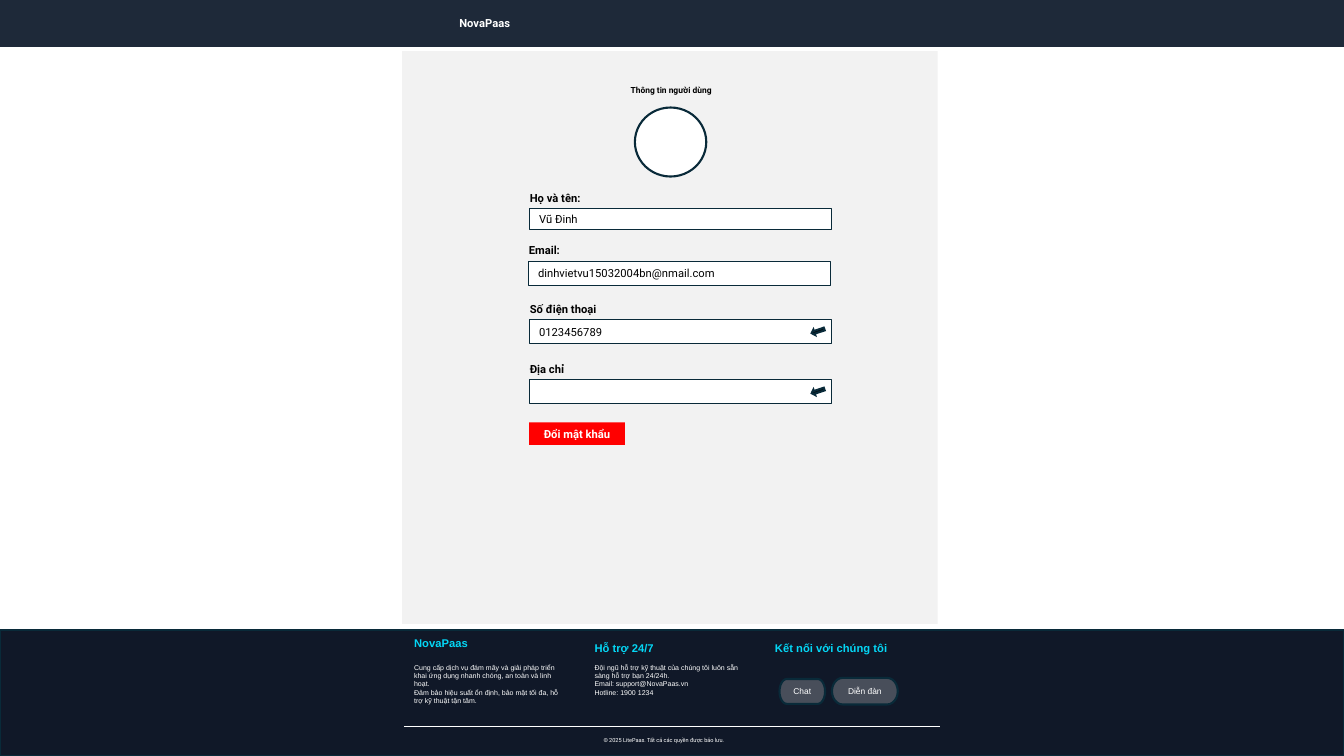
from dataclasses import dataclass

import pptx
import pptx.dml.color
import pptx.enum.shapes
import pptx.enum.text
import pptx.oxml.ns
import pptx.shapes.autoshape
import pptx.slide
import pptx.text.text
import pptx.util
from lxml import etree

Pt = pptx.util.Pt
SHAPE = pptx.enum.shapes.MSO_SHAPE
ALIGN = pptx.enum.text.PP_ALIGN
ANCHOR = pptx.enum.text.MSO_ANCHOR

NAVY, WHITE, BLACK = "092A39", "FFFFFF", "000000"
FOOTER, CYAN, LIGHT_GREY = "101828", "04D7F6", "F2F2F2"
PAGE_WIDTH, PAGE_HEIGHT = 960, 540
FIELD_WIDTH = 216


@dataclass(frozen=True)
class Box:
    left: float
    top: float
    width: float
    height: float


@dataclass(frozen=True)
class Style:
    size: float
    color: str
    bold: bool = False
    font: str = "Roboto"


@dataclass(frozen=True)
class Field:
    label: str
    value: str
    left: float
    top: float
    height: float
    editable: bool = False


@dataclass(frozen=True)
class FooterColumn:
    left: float
    heading: str
    body: tuple[str, ...]
    inset_top: float
    gap: float


@dataclass(frozen=True)
class ContactButton:
    text: str
    box: Box


LABEL = Style(8, BLACK, bold=True)
VALUE = Style(8, BLACK)
BRAND = Style(8, WHITE, bold=True)
FOOTER_HEADING = Style(8, CYAN, bold=True, font="Arial")
FOOTER_BODY = Style(5, WHITE, font="Arial")
CONTACT = Style(6, WHITE, font="Arial")

FIELDS = [
    Field("Họ và tên:", "Vũ Đinh", 378, 149, 14.8),
    Field("Email:", "dinhvietvu15032004bn@nmail.com", 377.3, 186.5, 17.2),
    Field("Số điện thoại", "0123456789", 378, 228.2, 17.2, editable=True),
    Field("Địa chỉ", "", 378, 271.1, 17.2, editable=True),
]
FOOTER_COLUMNS = [
    FooterColumn(288.7, "NovaPaas", (
        "Cung cấp dịch vụ đám mây và giải pháp triển khai ứng dụng nhanh chóng, an toàn và linh hoạt.",
        "Đảm bảo hiệu suất ổn định, bảo mật tối đa, hỗ trợ kỹ thuật tận tâm.",
    ), 1.25, 9.2),
    FooterColumn(417.6, "Hỗ trợ 24/7", (
        "Đội ngũ hỗ trợ kỹ thuật của chúng tôi luôn sẵn sàng hỗ trợ bạn 24/24h.",
        "Email: support@NovaPaas.vn",
        "Hotline: 1900 1234",
    ), 4.75, 5.75),
    FooterColumn(546.5, "Kết nối với chúng tôi", (), 4.75, 0),
]
CONTACT_BUTTONS = [
    ContactButton("Chat", Box(556.8, 485, 32.6, 17.8)),
    ContactButton("Diễn đàn", Box(594.3, 484.2, 47, 19)),
]


def rgb(color: str) -> pptx.dml.color.RGBColor:
    return pptx.dml.color.RGBColor.from_string(color)


def add_run(paragraph: pptx.text.text._Paragraph, text: str, style: Style) -> None:
    run = paragraph.add_run()
    run.text = text
    run.font.name = style.font
    run.font.size = Pt(style.size)
    run.font.bold = style.bold
    run.font.color.rgb = rgb(style.color)


def set_frame(frame: pptx.text.text.TextFrame, anchor: ANCHOR, side: float, top: float) -> None:
    """Fix wrapping, anchor and insets of a text frame."""
    frame.word_wrap = True
    frame.auto_size = pptx.enum.text.MSO_AUTO_SIZE.NONE
    frame.vertical_anchor = anchor
    frame.margin_left = frame.margin_right = Pt(side)
    frame.margin_top, frame.margin_bottom = Pt(top), Pt(0)


def add_text(slide: pptx.slide.Slide, box: Box, text: str, style: Style,
             top: float = 3.6) -> pptx.text.text.TextFrame:
    frame = slide.shapes.add_textbox(
        Pt(box.left), Pt(box.top), Pt(box.width), Pt(box.height)).text_frame
    set_frame(frame, ANCHOR.TOP, 7.2, top)
    add_run(frame.paragraphs[0], text, style)
    return frame


def add_block(slide: pptx.slide.Slide, box: Box, fill: str, line: str = "", weight: float = 1.5,
              kind: SHAPE = SHAPE.RECTANGLE) -> pptx.shapes.autoshape.Shape:
    block = slide.shapes.add_shape(kind, Pt(box.left), Pt(box.top), Pt(box.width), Pt(box.height))
    block.shadow.inherit = False
    block.fill.solid()
    block.fill.fore_color.rgb = rgb(fill)
    if line:
        block.line.color.rgb = rgb(line)
        block.line.width = Pt(weight)
    else:
        block.line.fill.background()
    return block


def write_inside(block: pptx.shapes.autoshape.Shape, text: str, style: Style,
                 align: ALIGN = ALIGN.CENTER, side: float = 0) -> None:
    set_frame(block.text_frame, ANCHOR.MIDDLE, side, 0)
    paragraph = block.text_frame.paragraphs[0]
    paragraph.alignment = align
    add_run(paragraph, text, style)


def add_edit_arrow(slide: pptx.slide.Slide, box: Box) -> None:
    arrow = add_block(slide, box, BLACK, NAVY, kind=SHAPE.LEFT_ARROW)
    arrow.adjustments[1] = 0.484
    arrow.rotation = 341.6
    outline = arrow.element.spPr.find(pptx.oxml.ns.qn("a:ln"))
    etree.SubElement(outline, pptx.oxml.ns.qn("a:miter"), lim="800000")


def add_field(slide: pptx.slide.Slide, field: Field) -> None:
    entry = add_block(slide, Box(field.left, field.top, FIELD_WIDTH, field.height), WHITE, NAVY, 0.25)
    if field.value:
        write_inside(entry, field.value, VALUE, ALIGN.LEFT, 7.2)
    add_text(slide, Box(field.left - 6.7, field.top - 15.9, 94.3, 17.3), field.label, LABEL)
    if field.editable:
        add_edit_arrow(slide, Box(field.left + 201.6, field.top + 6.3, 9.4, 4))


def add_footer_column(slide: pptx.slide.Slide, column: FooterColumn) -> None:
    frame = add_text(slide, Box(column.left, 453.6, 124.6, 59), column.heading,
                     FOOTER_HEADING, column.inset_top)
    for index, text in enumerate(column.body):
        paragraph = frame.add_paragraph()
        paragraph.space_before = Pt(0 if index else column.gap)
        add_run(paragraph, text, FOOTER_BODY)


def add_contact_button(slide: pptx.slide.Slide, button: ContactButton) -> None:
    pill = add_block(slide, button.box, LIGHT_GREY, NAVY, kind=SHAPE.FLOWCHART_TERMINATOR)
    fill_color = pill.element.spPr.find(".//" + pptx.oxml.ns.qn("a:srgbClr"))
    etree.SubElement(fill_color, pptx.oxml.ns.qn("a:alpha"), val="25000")
    write_inside(pill, button.text, CONTACT)


def add_footer_rule(slide: pptx.slide.Slide) -> None:
    rule = slide.shapes.add_connector(
        pptx.enum.shapes.MSO_CONNECTOR.STRAIGHT, Pt(288.7), Pt(518.7), Pt(671.2), Pt(518.7))
    rule.line.color.rgb = rgb(WHITE)
    rule.line.width = Pt(0.25)
    etree.SubElement(rule.element.spPr, pptx.oxml.ns.qn("a:effectLst"))


def place_title(slide: pptx.slide.Slide, panel: pptx.shapes.autoshape.Shape) -> None:
    """Format the title and lift it above the panel."""
    title = slide.shapes.title
    title.left, title.top, title.width, title.height = Pt(443.3), Pt(57), Pt(90), Pt(14.4)
    set_frame(title.text_frame, ANCHOR.TOP, 7.2, 3.6)
    paragraph = title.text_frame.paragraphs[0]
    paragraph.alignment = ALIGN.LEFT
    add_run(paragraph, "Thông tin người dùng", Style(6, BLACK, bold=True))
    panel.element.addnext(title.element)


def main() -> None:
    presentation = pptx.Presentation()
    presentation.slide_width, presentation.slide_height = Pt(PAGE_WIDTH), Pt(PAGE_HEIGHT)
    slide = presentation.slides.add_slide(presentation.slide_layouts[5])

    add_block(slide, Box(0, 0, PAGE_WIDTH, 32.6), "1E2939", "1E2939")
    add_text(slide, Box(321, 8, 64, 17.3), "NovaPaas", BRAND)

    panel = add_block(slide, Box(287.3, 36.6, 382.5, 409), LIGHT_GREY)
    place_title(slide, panel)
    add_block(slide, Box(453.5, 76.8, 51, 49.3), WHITE, NAVY, kind=SHAPE.OVAL)
    for field in FIELDS:
        add_field(slide, field)
    change_password = add_block(slide, Box(378, 301.8, 68.4, 16), "FF0000")
    write_inside(change_password, "Đổi mật khẩu", BRAND)

    add_block(slide, Box(0, 450, PAGE_WIDTH, 90), FOOTER, NAVY)
    for column in FOOTER_COLUMNS:
        add_footer_column(slide, column)
    for button in CONTACT_BUTTONS:
        add_contact_button(slide, button)
    add_footer_rule(slide)
    add_text(slide, Box(424, 522.7, 111.6, 12.3),
             "© 2025 LitePaas. Tất cả các quyền được bảo lưu.", Style(4, WHITE))
    presentation.save("out.pptx")


if __name__ == "__main__":
    main()
